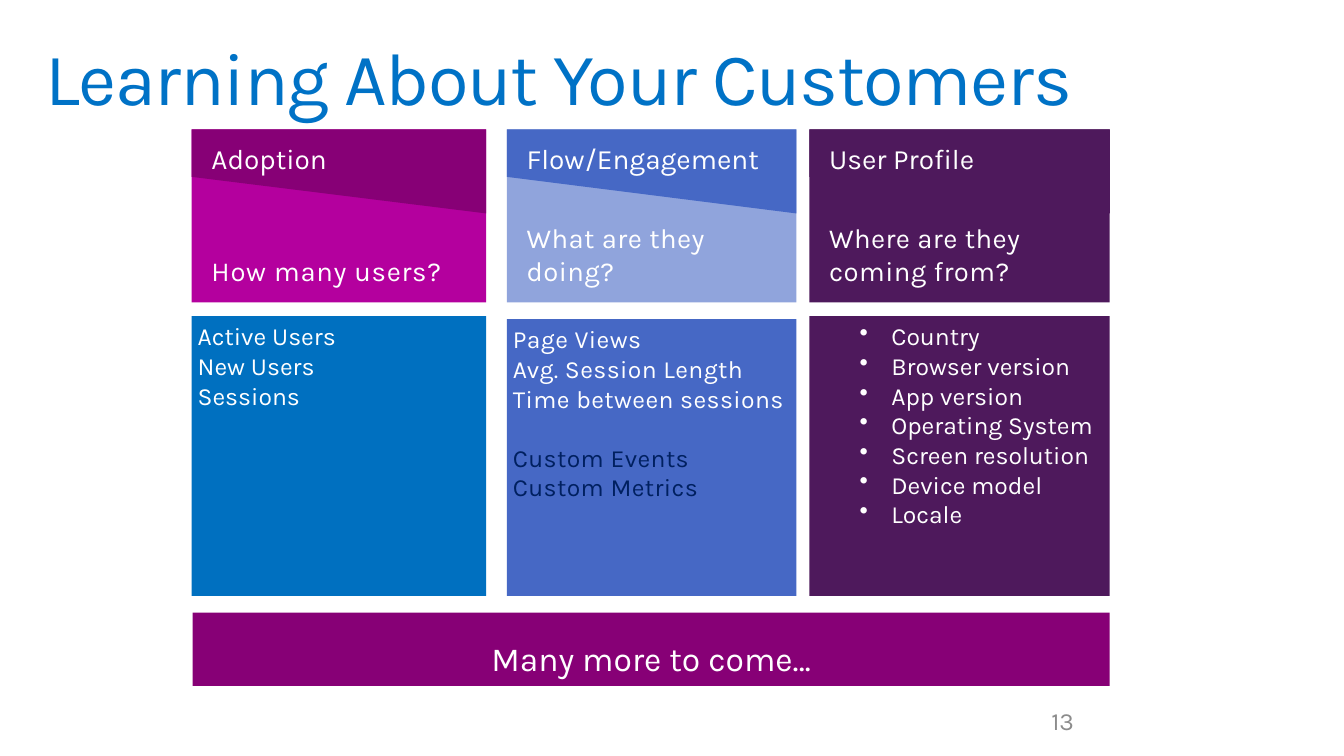
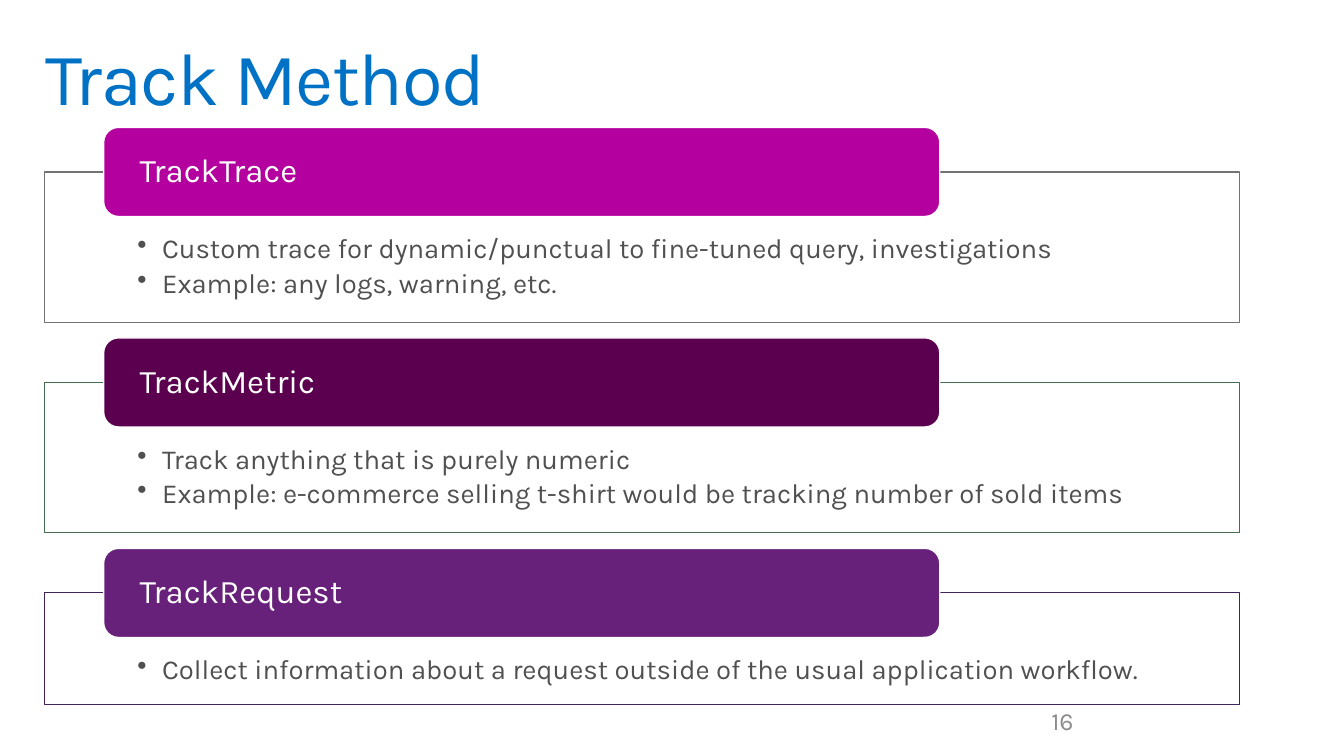
from lxml import etree
from pptx import Presentation
from pptx.dml.color import RGBColor
from pptx.enum.shapes import MSO_SHAPE
from pptx.enum.text import MSO_ANCHOR, PP_ALIGN
from pptx.oxml.ns import qn
from pptx.util import Inches, Pt

RECTANGLE = MSO_SHAPE.RECTANGLE
ROUNDED = MSO_SHAPE.ROUNDED_RECTANGLE
TOP, MIDDLE, BOTTOM = MSO_ANCHOR.TOP, MSO_ANCHOR.MIDDLE, MSO_ANCHOR.BOTTOM
LEFT, CENTER = PP_ALIGN.LEFT, PP_ALIGN.CENTER

FONT = "Karla"
WHITE = "FFFFFF"
TITLE_BLUE = "0072C6"
NAVY = "002060"
BLUE = "0070C0"
INDIGO = "4668C5"
PERIWINKLE = "90A4DC"
MAGENTA = "B4009E"
PLUM = "870076"
AUBERGINE = "4E195C"
DARK_GRAY = "505050"
NUMBER_GRAY = "8C8C8C"


def rgb(value):
    return RGBColor.from_string(value)


def add_bullet(paragraph, indent, hanging):
    properties = paragraph._p.get_or_add_pPr()
    properties.set("marL", str(Inches(indent)))
    properties.set("indent", str(-Inches(hanging)))
    etree.SubElement(properties, qn("a:buChar")).set("char", "•")


def write(shape, lines, size=18, color=WHITE, insets=(0, 0, 0, 0), anchor=TOP,
          align=LEFT, line_spacing=1.0, space_after=0, tracking=0, bullet=None):
    """Fill a shape with paragraphs; a line is a text or (text, color, space before)."""
    frame = shape.text_frame
    frame.word_wrap = True
    frame.vertical_anchor = anchor
    (frame.margin_left, frame.margin_top,
     frame.margin_right, frame.margin_bottom) = [Inches(inset) for inset in insets]
    for index, line in enumerate(lines):
        text, line_color, space_before = (line, color, 0) if isinstance(line, str) else line
        paragraph = frame.add_paragraph() if index else frame.paragraphs[0]
        if bullet:
            add_bullet(paragraph, *bullet)
        paragraph.alignment = align
        paragraph.line_spacing = line_spacing
        paragraph.space_before = Pt(space_before)
        paragraph.space_after = Pt(space_after)
        run = paragraph.add_run()
        run.text = text
        run.font.name = FONT
        run.font.size = Pt(size)
        run.font.color.rgb = rgb(line_color)
        if tracking:
            run.font._element.set("spc", str(round(tracking * 100)))


class Deck:
    def __init__(self):
        self.presentation = Presentation()
        self.presentation.slide_width = Inches(13.6)
        self.presentation.slide_height = Inches(7.65)
        self.slide = None

    def start_slide(self, title, number):
        self.slide = self.presentation.slides.add_slide(self.presentation.slide_layouts[6])
        self.text((0.3, 0.32, 13, 1), [title], size=54, color=TITLE_BLUE,
                  insets=(0.16, 0.1, 0.16, 0.1), line_spacing=0.9, tracking=-1)
        self.text((10.54, 7.09, 3.06, 0.41), [number], color=NUMBER_GRAY,
                  insets=(0.1, 0.05, 0.1, 0.05))

    def text(self, box, lines, **style):
        write(self.slide.shapes.add_textbox(*map(Inches, box)), lines, **style)

    def paint(self, shape, fill, line):
        shape.shadow.inherit = False
        shape.fill.solid()
        shape.fill.fore_color.rgb = rgb(fill)
        if line:
            shape.line.color.rgb = rgb(line)
            shape.line.width = Pt(0.85)
        else:
            shape.line.fill.background()

    def block(self, box, fill, lines, kind=RECTANGLE, line=None, **style):
        shape = self.slide.shapes.add_shape(kind, *map(Inches, box))
        self.paint(shape, fill, line)
        write(shape, lines, **style)

    def sloped_banner(self, left, top, width, fill, text):
        """A band whose lower edge falls to the right."""
        right = left + width
        corners = [(right, top), (right, top + 0.85), (left, top + 0.48)]
        builder = self.slide.shapes.build_freeform(Inches(left), Inches(top))
        builder.add_line_segments([(Inches(x), Inches(y)) for x, y in corners])
        shape = builder.convert_to_shape()
        self.paint(shape, fill, None)
        write(shape, [text], size=20.4, insets=(0.2, 0.16, 0.2, 0), line_spacing=0.9)

    def topic_column(self, left, width, heading, question, items, colors,
                     body_top=3.2, tracking=0.3, item_tracking=0, bullet=None):
        top = 1.31
        banner_color, question_color, body_color = colors
        self.block((left, top, width, 1.75), question_color, [question], size=20,
                   insets=(0.2, 0.71, 0.2, 0.16), anchor=BOTTOM, tracking=tracking)
        self.sloped_banner(left, top, width, banner_color, heading)
        self.block((left, body_top, width, 6.03 - body_top), body_color, items,
                   insets=(0.06, 0.05, 0, 0.05), tracking=item_tracking, bullet=bullet)

    def method_panel(self, top, height, name, points, color, frame_color):
        self.block((0.45, top, 12.09, height), WHITE, points, line=frame_color,
                   size=20, color=DARK_GRAY, insets=(0.94, 0.64, 0.94, 0.16),
                   line_spacing=0.9, space_after=3.5, bullet=(0.25, 0.25))
        self.block((1.05, top - 0.45, 8.46, 0.9), color, [name], kind=ROUNDED,
                   line=WHITE, size=24, insets=(0.32, 0, 0.32, 0), anchor=MIDDLE,
                   line_spacing=0.9)


def build_customers(deck):
    deck.start_slide("Learning About Your Customers", "13")
    deck.topic_column(1.94, 2.98, "Adoption", "How many users?",
                      ["Active Users", "New Users", "Sessions"],
                      (PLUM, MAGENTA, BLUE), tracking=0.5)
    deck.topic_column(5.13, 2.93, "Flow/Engagement", "What are they doing?",
                      ["Page Views", "Avg. Session Length", "Time between sessions",
                       ("Custom Events", NAVY, 21.5), ("Custom Metrics", NAVY, 0)],
                      (INDIGO, PERIWINKLE, INDIGO), body_top=3.23, item_tracking=0.3)
    deck.topic_column(8.19, 3.04, "User Profile", "Where are they coming from?",
                      ["Country", "Browser version", "App version", "Operating System",
                       "Screen resolution", "Device model", "Locale"],
                      (AUBERGINE,) * 3, bullet=(0.77, 0.32))
    deck.block((1.95, 6.2, 9.28, 0.74), PLUM, ["Many more to come…"], size=24.5,
               insets=(0, 0.05, 0, 0.05), align=CENTER, line_spacing=1.5)


def build_methods(deck):
    deck.start_slide("Track Method", "16")
    methods = [
        ("TrackTrace",
         ["Custom trace for dynamic/punctual to fine-tuned query, investigations",
          "Example: any logs, warning, etc."], MAGENTA, "737373"),
        ("TrackMetric",
         ["Track anything that is purely numeric",
          "Example: e-commerce selling t-shirt would be tracking number of sold items"],
         "5A004F", "456C50"),
        ("TrackRequest",
         ["Collect information about a request outside of the usual application workflow."],
         "68217A", "402359"),
    ]
    top = 1.74
    for name, points, color, frame_color in methods:
        height = 0.74 + 0.39 * len(points)
        deck.method_panel(top, height, name, points, color, frame_color)
        top += height + 0.61


def main():
    deck = Deck()
    build_customers(deck)
    build_methods(deck)
    deck.presentation.save("out.pptx")


if __name__ == "__main__":
    main()
